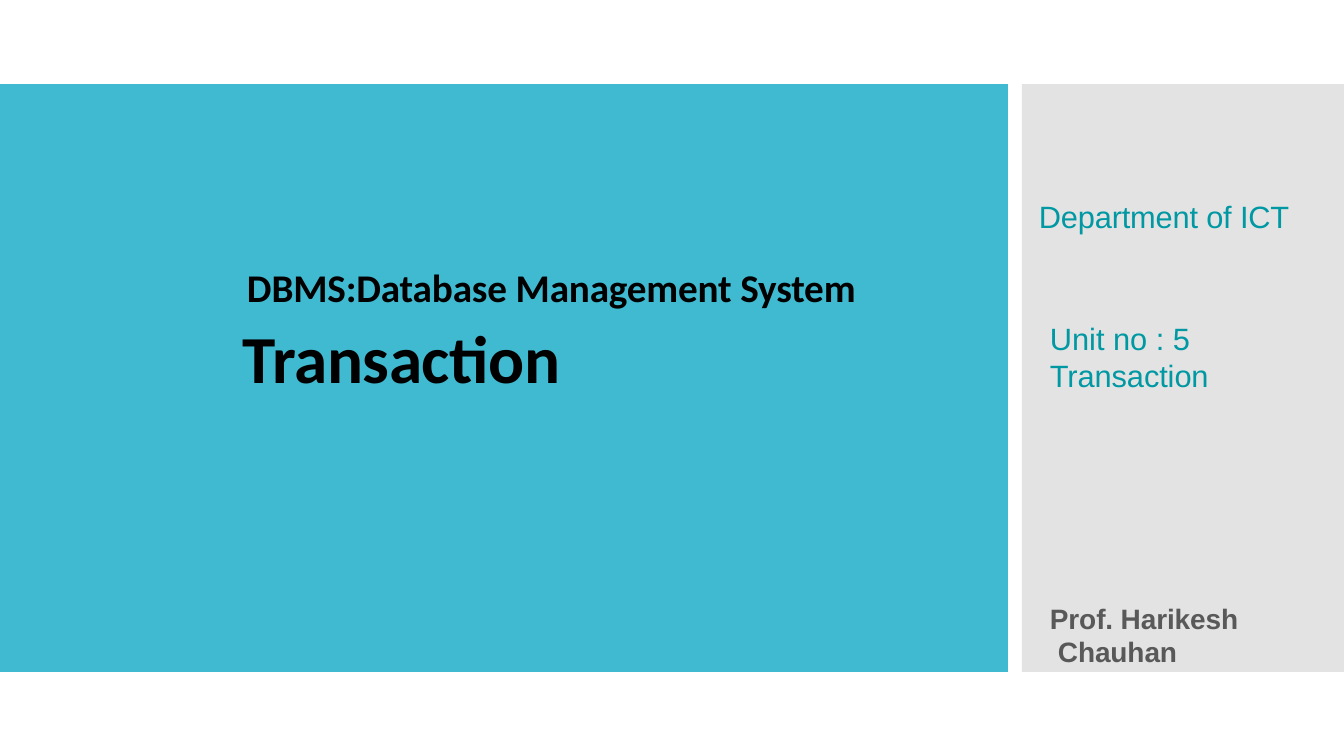
import pptx
import pptx.util
import pptx.oxml
import pptx.oxml.ns
import pptx.dml.color
import pptx.enum.shapes
import pptx.enum.text
import lxml.etree

SCALE = 914400 / 100.8  # EMU in one px

THEME = {
    "blue": "40BAD1", "gray": "C8C8C8", "teal": "0098A3",
    "dark": "595959", "black": "000000",
    "body": "Arial", "heading": "Calibri",
    "title_size": 48, "course_size": 28, "label_size": 22, "name_size": 20,
}


def px(length):
    return pptx.util.Emu(round(length * SCALE))


def write_lines(shape, box, top_inset, lines):
    """Place a text shape and fill it with (text, format, indent, space before, tracking)."""
    for name, value in zip(("left", "top", "width", "height"), box):
        setattr(shape, name, px(value))
    frame = shape.text_frame
    settings = {
        "word_wrap": True, "auto_size": pptx.enum.text.MSO_AUTO_SIZE.NONE,
        "vertical_anchor": pptx.enum.text.MSO_ANCHOR.TOP,
        "margin_left": 0, "margin_right": 0, "margin_bottom": 0,
        "margin_top": px(top_inset),
    }
    for name, value in settings.items():
        setattr(frame, name, value)
    for index, (text, style, indent, space, tracking) in enumerate(lines):
        paragraph = frame.paragraphs[0] if index == 0 else frame.add_paragraph()
        paragraph.alignment = pptx.enum.text.PP_ALIGN.LEFT
        paragraph.space_before = px(space)
        paragraph._p.get_or_add_pPr().set("marL", str(px(indent)))
        run = paragraph.add_run()
        run.text = text
        color, font_name, size, bold = style
        font_format = {"name": THEME[font_name], "bold": bold,
                       "size": pptx.util.Pt(THEME[size])}
        for name, value in font_format.items():
            setattr(run.font, name, value)
        run.font.color.rgb = pptx.dml.color.RGBColor.from_string(THEME[color])
        run._r.get_or_add_rPr().set("spc", str(tracking))


presentation = pptx.Presentation()
presentation.slide_width = px(1344)
presentation.slide_height = px(756)
slide = presentation.slides.add_slide(presentation.slide_layouts[5])
title = slide.shapes.title

# Main panel and half-transparent side panel
for left, width, color, opacity in ((0, 1008, "blue", 100), (1022, 322, "gray", 50)):
    panel = slide.shapes.add_shape(
        pptx.enum.shapes.MSO_SHAPE.RECTANGLE, px(left), px(84), px(width), px(588))
    panel.shadow.inherit = False
    panel.line.fill.background()
    panel.fill.solid()
    panel.fill.fore_color.rgb = pptx.dml.color.RGBColor.from_string(THEME[color])
    if opacity < 100:
        color_element = panel.fill._xPr.find(".//" + pptx.oxml.ns.qn("a:srgbClr"))
        alpha = lxml.etree.SubElement(color_element, pptx.oxml.ns.qn("a:alpha"))
        alpha.set("val", str(opacity * 1000))

# Side panel labels
label = ("teal", "body", "label_size", False)
professor = ("dark", "body", "name_size", True)
side_texts = (
    ((1038, 195, 290, 39), 3, [("Department of ICT", label, 1, 0, -10)]),
    ((1049, 598, 230, 70), 3, [("Prof. Harikesh", professor, 1, 0, -10),
                               ("Chauhan", professor, 9, 0, -10)]),
    ((1049, 317, 230, 77), 3, [("Unit no : 5", label, 1, 0, 0),
                               ("Transaction", label, 1, 0, -5)]),
)
for box, top_inset, lines in side_texts:
    write_lines(slide.shapes.add_textbox(0, 0, 0, 0), box, top_inset, lines)

# Title, brought in front of the panels
slide.shapes._spTree.append(title._element)
write_lines(title, (242, 253, 654, 140), 10, [
    ("DBMS:Database Management System", ("black", "heading", "course_size", True), 5, 0, -10),
    ("Transaction", ("black", "heading", "title_size", True), 1, 6, -30),
])

presentation.save("out.pptx")
